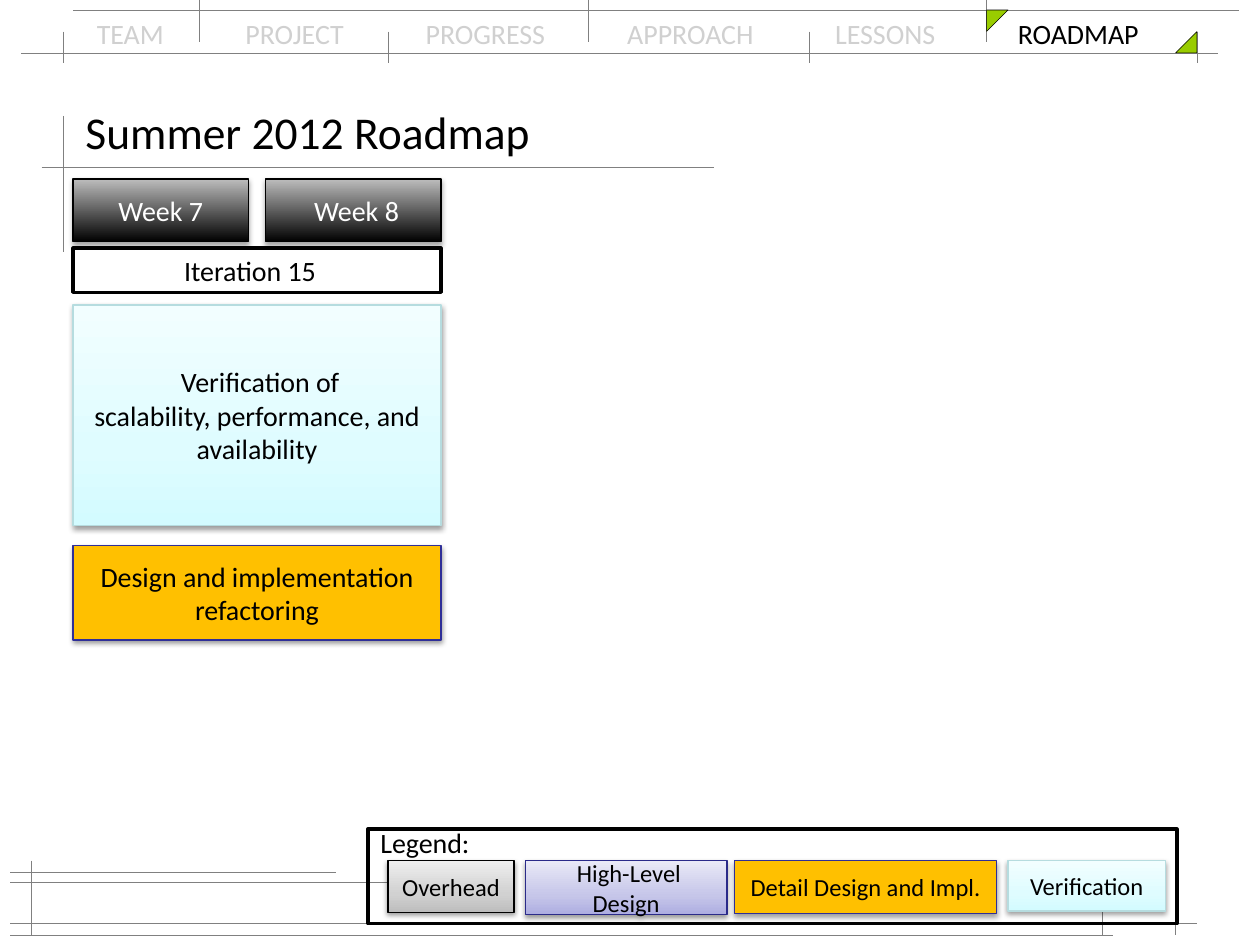
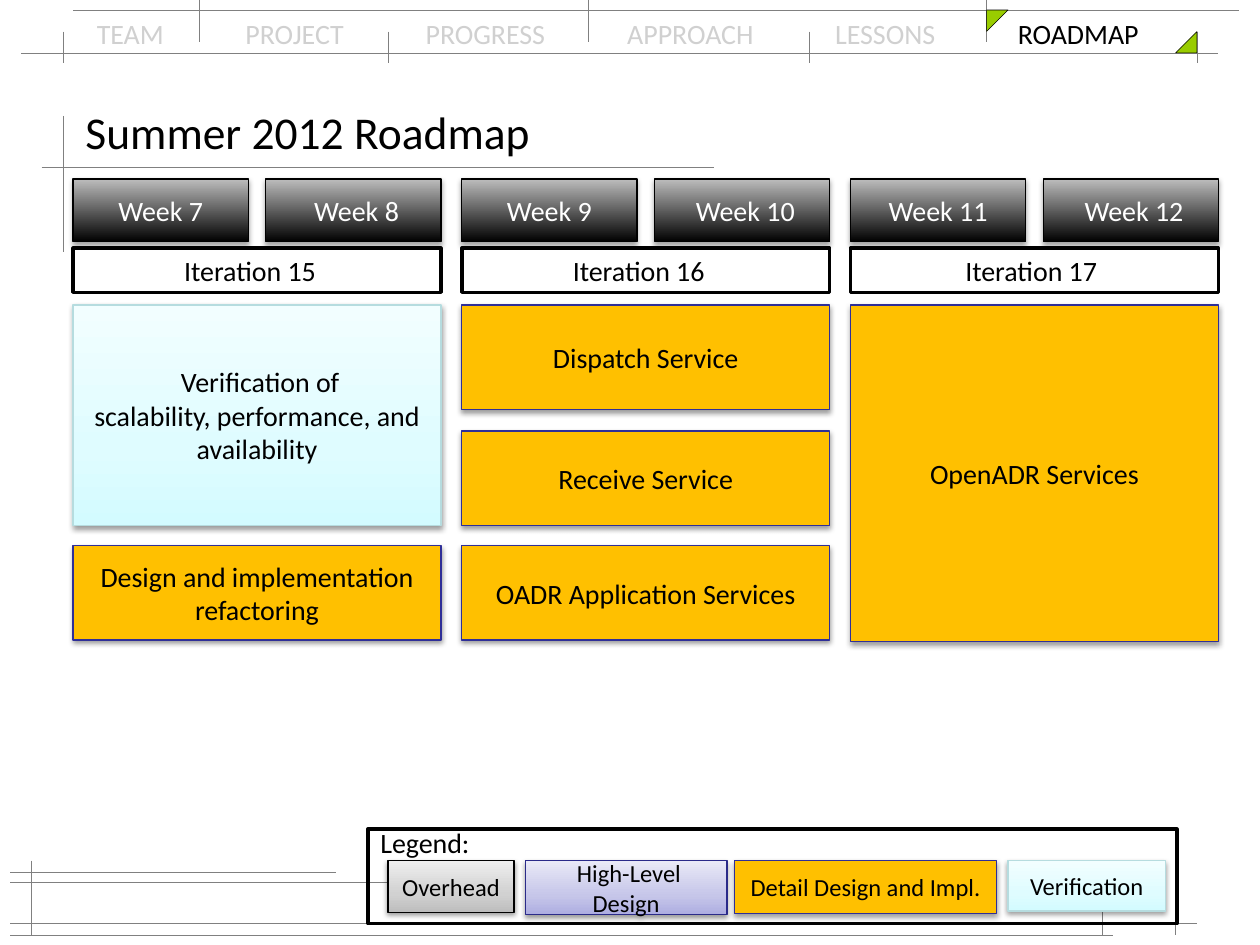
from dataclasses import dataclass

from lxml.etree import SubElement
from pptx import Presentation
from pptx.dml.color import RGBColor
from pptx.enum.shapes import MSO_CONNECTOR, MSO_SHAPE
from pptx.enum.text import MSO_ANCHOR, PP_ALIGN
from pptx.oxml.ns import qn
from pptx.util import Inches, Pt

FONT = "Calibri"
BLACK, WHITE, GREY, PALE, GREEN = "000000", "FFFFFF", "808080", "D0D0D0", "99CC00"

# Column grid of the roadmap
LEFT, WIDTH = 0.58, 2.92
PITCH = (6.75 - LEFT) / 2
WEEK_WIDTH = 1.39


@dataclass(frozen=True)
class Style:
    """Fill stops run from the bottom up as (percent, colour)."""
    stops: tuple[tuple[int, str], ...]
    line: str
    text: str = BLACK
    line_width: float = 0.75
    shadow_alpha: int = 38
    shadow_distance: float = 1.6


@dataclass(frozen=True)
class Task:
    column: int
    top: float
    height: float
    text: str
    style: Style


@dataclass(frozen=True)
class Iteration:
    title: str
    weeks: tuple[str, str]
    right_inset: float


@dataclass(frozen=True)
class Key:
    left: float
    width: float
    height: float
    text: str
    style: Style


WEEK = Style(((0, BLACK), (100, "BDBDBD")), BLACK, WHITE,
             shadow_alpha=35, shadow_distance=1.8)
FRAME = Style(((0, WHITE),), BLACK, line_width=2, shadow_alpha=0)
OUTLINE = Style((), BLACK, line_width=2, shadow_alpha=0)
OVERHEAD = Style(((0, "BDBDBD"), (35, "D1D1D1"), (100, "EEEEEE")), BLACK)
HIGH_LEVEL = Style(((0, "ADADE1"), (35, "C6C6E9"), (100, "E9E9F7")), "2A2A89")
DETAIL = Style(((0, "FFC000"),), "2F2F98")
VERIFICATION = Style(((0, "D3FBFF"), (35, "DFFCFF"), (100, "F2FEFF")), "B6DCDF")
CORNER = Style(((0, GREEN),), BLACK, line_width=0.3, shadow_alpha=0)

NAVIGATION = ("TEAM", "PROJECT", "PROGRESS", "APPROACH", "LESSONS", "ROADMAP")
NAVIGATION_TABS = (1.18, 2.61, 4.21, 5.86, 7.31)

# Rules as (fixed position, start, end)
HORIZONTAL_RULES = (
    (0.42, 0.17, 9.67), (0.08, 0.58, 9.83), (1.33, 0.33, 5.67), (7, 0.08, 3.08),
    (7.33, 0.08, 9.5), (6.92, 0.08, 2.67), (7.42, 0.08, 8.83),
)
VERTICAL_RULES = (
    (0.5, 0.92, 2), (0.25, 6.83, 7.42), (9.33, 6.83, 7.42), (8.75, 7.08, 7.42),
    *((x, 0.25, 0.5) for x in (0.5, 3.08, 6.42, 9.5)),
    *((x, -0.25, 0.33) for x in (1.58, 4.67, 7.83)),
)

ITERATIONS = (
    Iteration("Iteration 15", ("Week 7", " Week 8"), 0.21),
    Iteration("Iteration 16", ("Week 9", " Week 10"), 0.21),
    Iteration("Iteration 17", ("Week 11", " Week 12"), 0.15),
)
TASKS = (
    Task(0, 2.42, 1.75,
         " Verification of\nscalability, performance, and availability", VERIFICATION),
    Task(0, 4.33, 0.75, "Design and implementation refactoring", DETAIL),
    Task(1, 2.42, 0.83, "Dispatch Service", DETAIL),
    Task(1, 3.42, 0.75, "Receive Service", DETAIL),
    Task(1, 4.33, 0.75, "OADR Application Services", DETAIL),
    Task(2, 2.42, 2.67, "OpenADR Services", DETAIL),
)
LEGEND = (
    Key(3.08, 1, 0.41, "Overhead", OVERHEAD),
    Key(4.17, 1.6, 0.43, " High-Level Design", HIGH_LEVEL),
    Key(5.83, 2.08, 0.42, "Detail Design and Impl.", DETAIL),
    Key(8, 1.25, 0.4, "Verification", VERIFICATION),
)


def colour(value: str) -> RGBColor:
    return RGBColor.from_string(value)


def set_font(font, size: float, value: str) -> None:
    font.name, font.size = FONT, Pt(size)
    font.color.rgb = colour(value)


def paint(shape, stops: tuple[tuple[int, str], ...]) -> None:
    if not stops:
        shape.fill.background()
    elif len(stops) == 1:
        shape.fill.solid()
        shape.fill.fore_color.rgb = colour(stops[0][1])
    else:
        shape.fill.gradient()
        shape.fill.gradient_angle = 90
        stop_list = shape.element.find(".//" + qn("a:gsLst"))
        for stop in list(stop_list):
            stop_list.remove(stop)
        for percent, value in stops:
            stop = SubElement(stop_list, qn("a:gs"), pos=str(percent * 1000))
            SubElement(stop, qn("a:srgbClr"), val=value)


def add_shadow(shape, style: Style) -> None:
    shape.shadow.inherit = False
    if style.shadow_alpha:
        effects = shape.element.find(".//" + qn("a:effectLst"))
        shadow = SubElement(effects, qn("a:outerShdw"), blurRad=str(Pt(3.1)),
                            dist=str(Pt(style.shadow_distance)), dir="5400000",
                            rotWithShape="0")
        black = SubElement(shadow, qn("a:srgbClr"), val=BLACK)
        SubElement(black, qn("a:alpha"), val=str(style.shadow_alpha * 1000))


def add_box(shapes, left: float, top: float, width: float, height: float,
            style: Style, text: str = "", size: float = 16, kind=MSO_SHAPE.RECTANGLE):
    box = shapes.add_shape(kind, Inches(left), Inches(top),
                           Inches(width), Inches(height))
    paint(box, style.stops)
    box.line.color.rgb = colour(style.line)
    box.line.width = Pt(style.line_width)
    add_shadow(box, style)
    if text:
        frame = box.text_frame
        frame.text = text
        frame.word_wrap = True
        frame.vertical_anchor = MSO_ANCHOR.MIDDLE
        for para in frame.paragraphs:
            para.alignment = PP_ALIGN.CENTER
            set_font(para.font, size, style.text)
    return box


def add_label(shapes, left: float, top: float, width: float, height: float,
              text: str, size: float, wrap: bool = True):
    label = shapes.add_textbox(Inches(left), Inches(top),
                               Inches(width), Inches(height))
    label.text_frame.word_wrap = wrap
    para = label.text_frame.paragraphs[0]
    para.text = text
    set_font(para.font, size, BLACK)
    return label


def add_rule(page, x1: float, y1: float, x2: float, y2: float) -> None:
    rule = page.shapes.add_connector(MSO_CONNECTOR.STRAIGHT, Inches(x1), Inches(y1),
                                     Inches(x2), Inches(y2))
    rule.line.color.rgb = colour(GREY)
    rule.line.width = Pt(0.3)
    SubElement(rule.element.find(qn("p:spPr")), qn("a:effectLst"))


def add_navigation(page) -> None:
    bar = add_label(page.shapes, 0.67, 0.08, 8.67, 0.37, "", 16)
    para = bar.text_frame.paragraphs[0]
    tabs = SubElement(para._p.get_or_add_pPr(), qn("a:tabLst"))
    # Tab stops come before the default run properties
    tabs.getparent().insert(0, tabs)
    for position in NAVIGATION_TABS:
        SubElement(tabs, qn("a:tab"), pos=str(Inches(position)), algn="l")
    others, current = para.add_run(), para.add_run()
    others.text = "".join(f"{name}\t" for name in NAVIGATION[:-1])
    current.text = NAVIGATION[-1]
    set_font(others.font, 16, PALE)
    set_font(current.font, 16, BLACK)


def add_background(page) -> None:
    add_navigation(page)
    for y, start, end in HORIZONTAL_RULES:
        add_rule(page, start, y, end, y)
    for x, start, end in VERTICAL_RULES:
        add_rule(page, x, start, x, end)
    # Corner marks around the current section
    for left, top, rotation in ((7.83, 0.08, 90), (9.33, 0.25, 270)):
        corner = add_box(page.shapes, left, top, 0.17, 0.17, CORNER,
                         kind=MSO_SHAPE.RIGHT_TRIANGLE)
        corner.rotation = rotation


def add_iteration(page, column: int) -> None:
    iteration = ITERATIONS[column]
    left = LEFT + column * PITCH
    shapes = page.shapes.add_group_shape().shapes
    for index, week in enumerate(iteration.weeks):
        add_box(shapes, left + index * (WIDTH - WEEK_WIDTH), 1.42,
                WEEK_WIDTH, 0.5, WEEK, week)
    header = add_box(shapes, left, 1.97, WIDTH, 0.35, FRAME, iteration.title)
    header.text_frame.margin_right = Inches(iteration.right_inset)


def add_legend(page) -> None:
    shapes = page.shapes.add_group_shape().shapes
    add_box(shapes, 2.92, 6.58, 6.42, 0.75, OUTLINE)
    for key in LEGEND:
        add_box(shapes, key.left, 6.83, key.width, key.height, key.style, key.text, 14)
    add_label(shapes, 2.92, 6.5, 0.92, 0.37, "Legend:", 16, wrap=False)


def add_roadmap(deck, columns: int) -> None:
    page = deck.slides.add_slide(deck.slide_layouts[6])
    add_background(page)
    for task in TASKS:
        if task.column < columns:
            add_box(page.shapes, LEFT + task.column * PITCH, task.top, WIDTH,
                    task.height, task.style, task.text)
    for column in range(columns):
        add_iteration(page, column)
    add_legend(page)
    title = add_label(page.shapes, LEFT, 0.75, 8.83, 0.58, "Summer 2012 Roadmap", 26)
    title.text_frame.vertical_anchor = MSO_ANCHOR.MIDDLE


def main() -> None:
    deck = Presentation()
    deck.slide_width, deck.slide_height = Inches(10), Inches(7.5)
    for columns in (1, 3):
        add_roadmap(deck, columns)
    deck.save("out.pptx")


if __name__ == "__main__":
    main()
